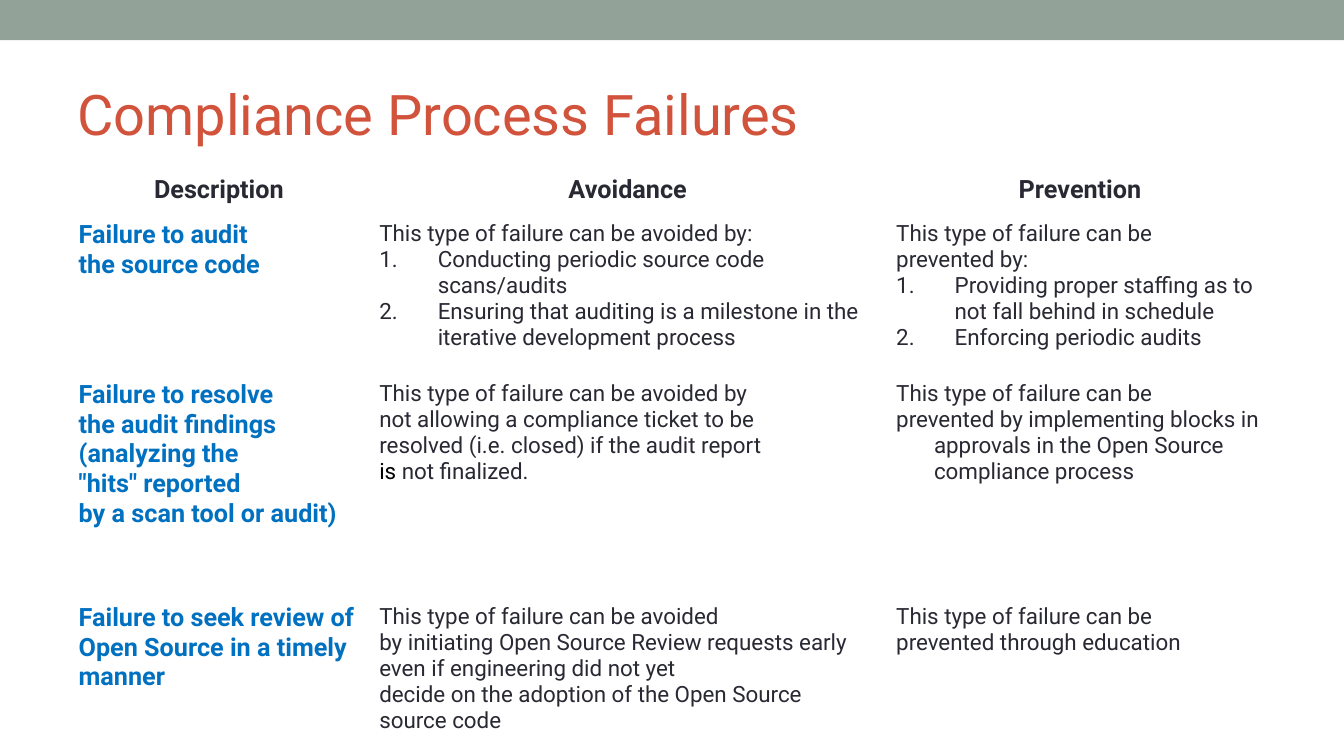
from lxml.etree import SubElement
from pptx import Presentation
from pptx.dml.color import RGBColor
from pptx.enum.shapes import MSO_SHAPE
from pptx.enum.text import MSO_ANCHOR, MSO_AUTO_SIZE, PP_ALIGN
from pptx.oxml.ns import qn
from pptx.util import Pt

COLORS = {"bar": "93A299", "title": "D2533C", "body": "292934",
          "failure": "0070C0", "black": "000000", "white": "FFFFFF"}
WIDE, NARROW = 41.75, 27

HEADINGS = [("Description", NARROW), ("Avoidance", WIDE), ("Prevention", WIDE)]
FAILURES = [
    {"description": ["Failure to audit", "the source code"],
     "avoidance": ["This type of failure can be avoided by:"],
     "avoidance_steps": [
         "Conducting periodic source code scans/audits",
         "Ensuring that auditing is a milestone in the iterative development process"],
     "prevention": ["This type of failure can be", "prevented by:"],
     "prevention_steps": [
         "Providing proper staffing as to not fall behind in schedule",
         "Enforcing periodic audits"],
     "indent": WIDE},
    {"description": ["Failure to resolve", "the audit findings", "(analyzing the",
                     "\"hits\" reported", "by a scan tool or audit)"],
     "avoidance": ["This type of failure can be avoided by",
                   "not allowing a compliance ticket to be",
                   "resolved (i.e. closed) if the audit report",
                   [("is ", "black"), ("not finalized.", "body")]],
     "prevention": ["This type of failure can be",
                    "prevented by implementing blocks in approvals in the "
                    "Open Source compliance process"],
     "indent": NARROW},
    {"description": ["Failure to seek review of Open Source in a timely manner"],
     "avoidance": ["This type of failure can be avoided",
                   "by initiating Open Source Review requests early",
                   "even if engineering did not yet",
                   "decide on the adoption of the Open Source",
                   "source code"],
     "prevention": ["This type of failure can be", "prevented through education"],
     "indent": NARROW},
]


class SlideBuilder:
    def __init__(self, slide, font_name):
        self.slide = slide
        self.font_name = font_name

    def color(self, name):
        return RGBColor.from_string(COLORS[name])

    def style(self, paragraph, size, color, bold=False):
        font = paragraph.font
        font.name, font.size, font.bold = self.font_name, Pt(size), bold
        font.color.rgb = self.color(color)

    def bar(self, width, height):
        shape = self.slide.shapes.add_shape(MSO_SHAPE.RECTANGLE, 0, 0, Pt(width), Pt(height))
        shape.shadow.inherit = False
        shape.fill.solid()
        shape.fill.fore_color.rgb = self.color("bar")
        shape.line.fill.background()

    def title(self, text, left, top, width, height):
        title = self.slide.shapes.title
        title.left, title.top, title.width, title.height = map(Pt, (left, top, width, height))
        frame = title.text_frame
        frame.text = text
        frame.word_wrap = True
        frame.auto_size = MSO_AUTO_SIZE.NONE
        frame.vertical_anchor = MSO_ANCHOR.MIDDLE
        paragraph = frame.paragraphs[0]
        paragraph.alignment = PP_ALIGN.LEFT
        self.style(paragraph, 40, "title")

    def table(self, left, top, columns, rows):
        table = self.slide.shapes.add_table(
            len(rows), len(columns), Pt(left), Pt(top), Pt(sum(columns)), Pt(sum(rows))).table
        table.first_row = table.horz_banding = False
        for column, width in zip(table.columns, columns):
            column.width = Pt(width)
        for row, height in zip(table.rows, rows):
            row.height = Pt(height)
        return table

    def cell(self, cell, lines, size, color, bold=False, indent=0, steps=(),
             alignment=PP_ALIGN.LEFT):
        cell.fill.solid()
        cell.fill.fore_color.rgb = self.color("white")
        frame = cell.text_frame
        for index, line in enumerate([*lines, *steps]):
            paragraph = frame.add_paragraph() if index else frame.paragraphs[0]
            paragraph.alignment = alignment
            properties = paragraph._p.get_or_add_pPr()
            properties.set("marL", str(Pt(indent)))
            properties.set("indent", str(-Pt(indent)))
            if index >= len(lines):
                SubElement(properties, qn("a:buFont"), typeface="+mj-lt")
                SubElement(properties, qn("a:buAutoNum"), type="arabicPeriod")
            self.style(paragraph, size, color, bold)
            if isinstance(line, str):
                paragraph.add_run().text = line
                continue
            for text, run_color in line:
                run = paragraph.add_run()
                run.text = text
                run.font.color.rgb = self.color(run_color)


def main():
    presentation = Presentation()
    presentation.slide_width, presentation.slide_height = Pt(960), Pt(540)
    slide = presentation.slides.add_slide(presentation.slide_layouts[5])
    builder = SlideBuilder(slide, "Roboto")
    builder.bar(960, 28.8)
    builder.title("Compliance Process Failures", 48, 42, 864, 78)

    table = builder.table(49, 121.5, [214.75, 369.25, 277], [32.4, 114.3, 159.3, 114.5])
    for column, (heading, indent) in enumerate(HEADINGS):
        builder.cell(table.cell(0, column), [heading], 18, "body", True, indent,
                     alignment=PP_ALIGN.CENTER)
    for row, failure in enumerate(FAILURES, 1):
        builder.cell(table.cell(row, 0), failure["description"], 18, "failure", True)
        for column, part in enumerate(("avoidance", "prevention"), 1):
            builder.cell(table.cell(row, column), failure[part], 16, "body",
                         indent=failure["indent"], steps=failure.get(part + "_steps", ()))
    presentation.save("out.pptx")


if __name__ == "__main__":
    main()
